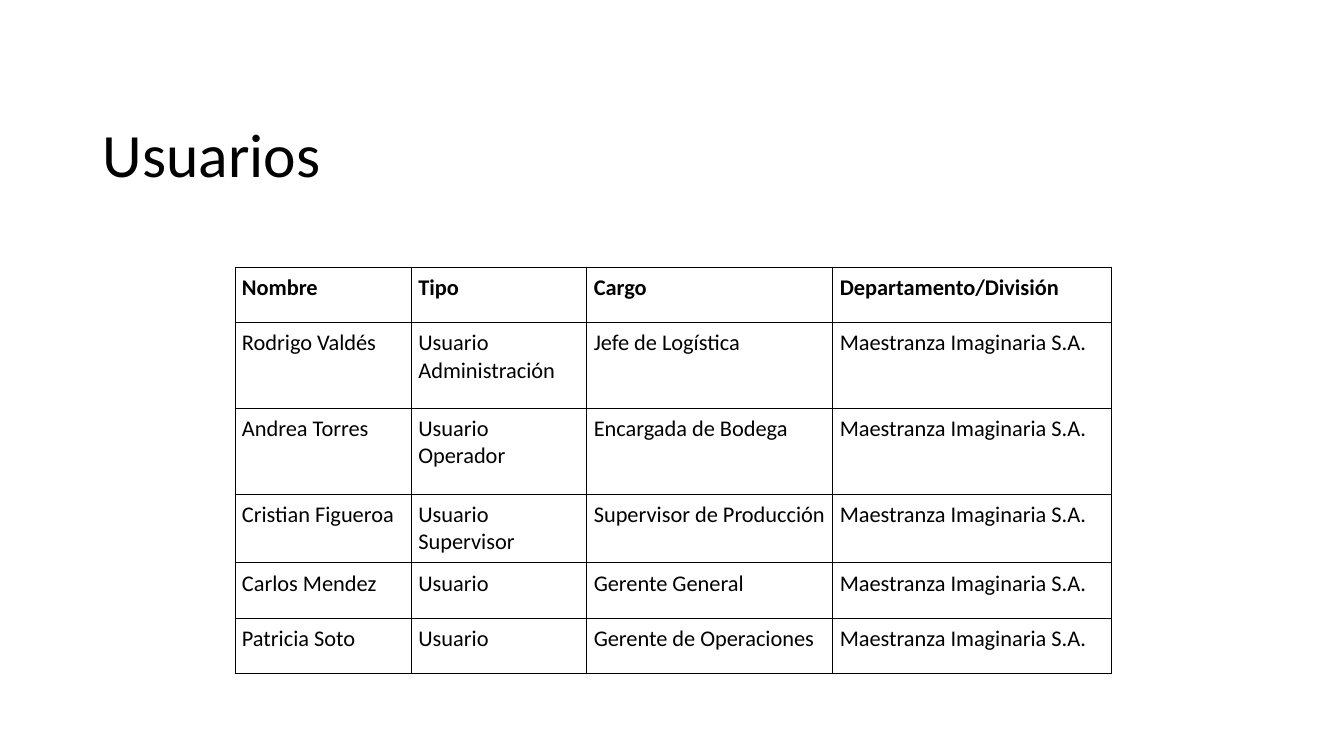
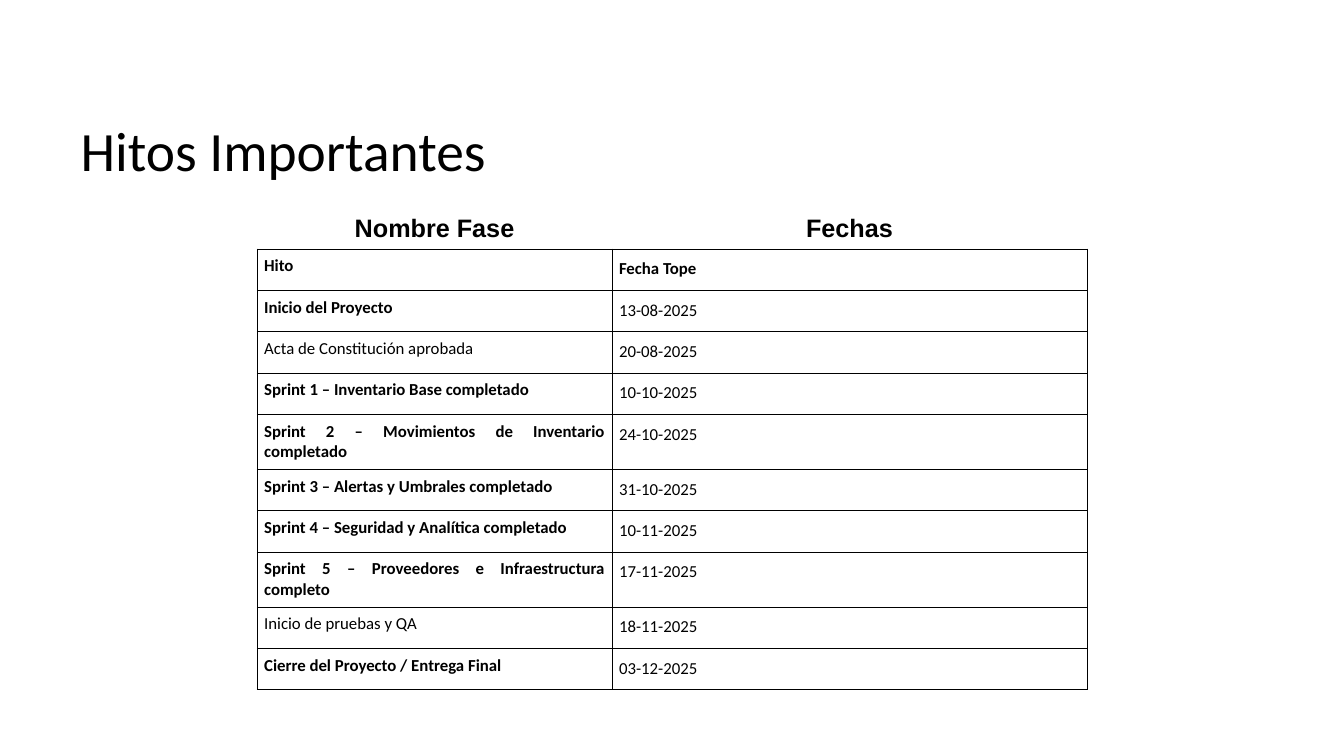
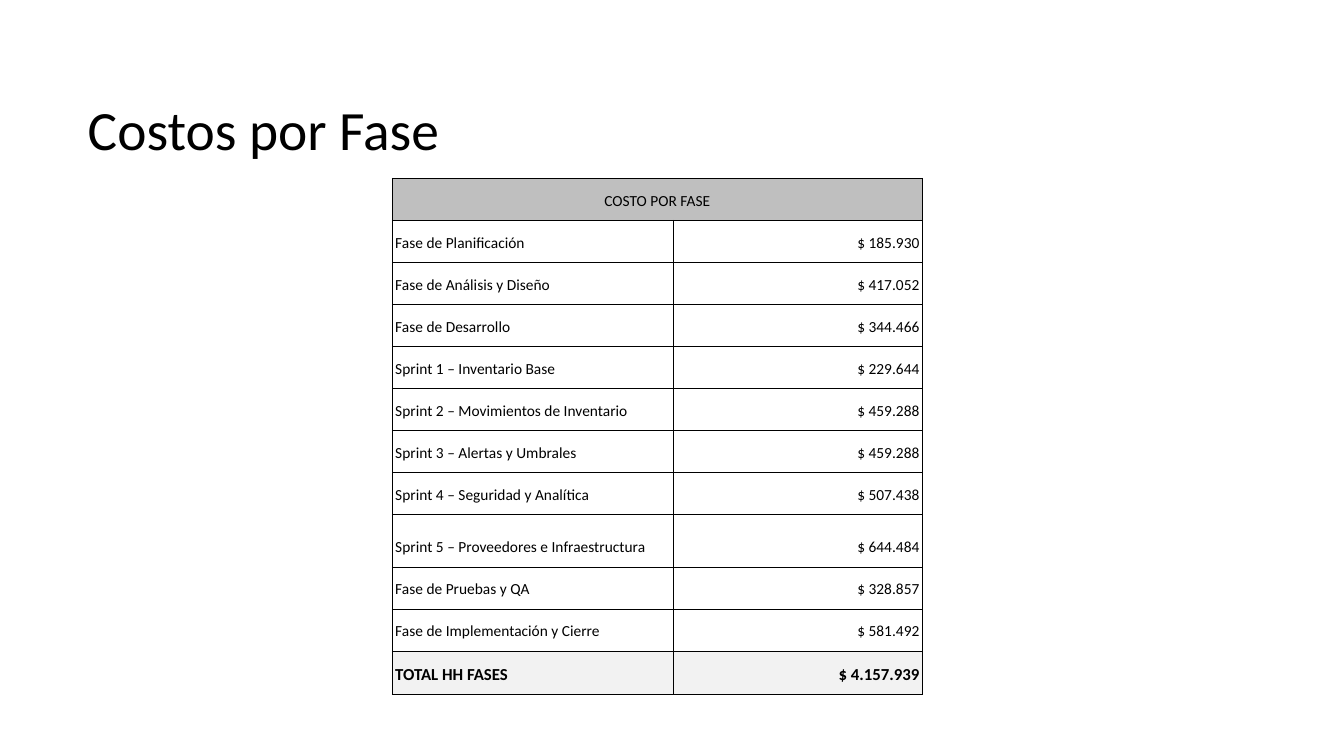
from dataclasses import dataclass, replace

from lxml import etree
from pptx import Presentation
from pptx.dml.color import RGBColor
from pptx.enum.text import MSO_ANCHOR, MSO_AUTO_SIZE, PP_ALIGN
from pptx.oxml.ns import qn
from pptx.util import Inches, Pt

LEFT, CENTER, RIGHT, JUSTIFY = PP_ALIGN.LEFT, PP_ALIGN.CENTER, PP_ALIGN.RIGHT, PP_ALIGN.JUSTIFY
TOP, MIDDLE, BOTTOM = MSO_ANCHOR.TOP, MSO_ANCHOR.MIDDLE, MSO_ANCHOR.BOTTOM
NO_AUTOFIT = MSO_AUTO_SIZE.NONE

BLACK, GRAY, PALE_GRAY = "000000", "BFBFBF", "F2F2F2"
BODY_FONT, HEADING_FONT = "Calibri", "Arial"
TITLE_ONLY_LAYOUT = 5
TITLE_WIDTH = 11.5
ALL_EDGES = "LRTB"
COMPANY = "Maestranza Imaginaria S.A."


@dataclass(frozen=True)
class CellStyle:
    size: float
    font: str = BODY_FONT
    bold: bool = False
    align: PP_ALIGN = JUSTIFY
    anchor: MSO_ANCHOR = TOP
    margin_x: float = 0.07
    margin_y: float = 0.07
    line_spacing: float = 1.0
    space_before: float = 0
    fill: str | None = None
    edges: str = ALL_EDGES
    line_width: float = 0.5


@dataclass(frozen=True)
class Cell:
    text: str
    style: CellStyle


@dataclass(frozen=True)
class TitleBox:
    text: str
    left: float
    top: float
    height: float
    size: float


@dataclass(frozen=True)
class TableBox:
    left: float
    top: float
    columns: list[float]
    heights: list[float]
    rows: list[list[Cell]]


def color(value: str) -> RGBColor:
    return RGBColor.from_string(value)


def format_font(para, font: str, size: float, bold: bool) -> None:
    for span in para.runs:
        span.font.name = font
        span.font.size = Pt(size)
        span.font.bold = bold
        span.font.color.rgb = color(BLACK)


def draw_title(page, title: TitleBox) -> None:
    box = page.shapes.title
    box.left, box.top = Inches(title.left), Inches(title.top)
    box.width, box.height = Inches(TITLE_WIDTH), Inches(title.height)
    frame = box.text_frame
    frame.text = title.text
    frame.auto_size = NO_AUTOFIT
    frame.vertical_anchor = MIDDLE
    para = frame.paragraphs[0]
    para.alignment = LEFT
    para.line_spacing = 0.9
    format_font(para, BODY_FONT, title.size, False)


def set_borders(cell, edges: str, width: float) -> None:
    """Draw the named edges (L, R, T, B) and hide the others."""
    properties = cell._tc.get_or_add_tcPr()
    for edge in ALL_EDGES:
        line = etree.SubElement(properties, qn(f"a:ln{edge}"), w=str(Pt(width)))
        if edge in edges:
            fill = etree.SubElement(line, qn("a:solidFill"))
            etree.SubElement(fill, qn("a:srgbClr"), val=BLACK)
        else:
            etree.SubElement(line, qn("a:noFill"))


def draw_cell(cell, content: Cell) -> None:
    style = content.style
    cell.margin_left = cell.margin_right = Inches(style.margin_x)
    cell.margin_top = cell.margin_bottom = Inches(style.margin_y)
    cell.vertical_anchor = style.anchor
    set_borders(cell, style.edges, style.line_width)
    if style.fill:
        cell.fill.solid()
        cell.fill.fore_color.rgb = color(style.fill)
    else:
        cell.fill.background()
    cell.text_frame.text = content.text
    para = cell.text_frame.paragraphs[0]
    para.alignment = style.align
    para.line_spacing = style.line_spacing
    para.space_before = Pt(style.space_before)
    format_font(para, style.font, style.size, style.bold)


def draw_table(page, box: TableBox):
    table = page.shapes.add_table(
        len(box.rows), len(box.columns), Inches(box.left), Inches(box.top),
        Inches(sum(box.columns)), Inches(sum(box.heights)),
    ).table
    table.first_row = table.horz_banding = False
    for column, width in zip(table.columns, box.columns):
        column.width = Inches(width)
    for row, height, contents in zip(table.rows, box.heights, box.rows):
        row.height = Inches(height)
        for cell, content in zip(row.cells, contents):
            draw_cell(cell, content)
    return table


def add_page(deck, title: TitleBox, box: TableBox):
    page = deck.slides.add_slide(deck.slide_layouts[TITLE_ONLY_LAYOUT])
    draw_title(page, title)
    return draw_table(page, box)


def add_users(deck) -> None:
    body = CellStyle(size=16)
    header = replace(body, bold=True)
    users = [
        ("Rodrigo Valdés", "Usuario Administración", "Jefe de Logística"),
        ("Andrea Torres", "Usuario Operador", "Encargada de Bodega"),
        ("Cristian Figueroa", "Usuario Supervisor", "Supervisor de Producción"),
        ("Carlos Mendez", "Usuario", "Gerente General"),
        ("Patricia Soto", "Usuario", "Gerente de Operaciones"),
    ]
    headings = ("Nombre", "Tipo", "Cargo", "Departamento/División")
    rows = [[Cell(text, header) for text in headings]]
    rows += [[Cell(text, body) for text in (*user, COMPANY)] for user in users]
    heights = [0.55, 0.85, 0.85, 0.55, 0.55, 0.55]
    add_page(deck, TitleBox("Usuarios", 0.92, 1.15, 0.82, 44),
             TableBox(2.33, 2.65, [1.75, 1.74, 2.44, 2.76], heights, rows))


def add_milestones(deck) -> None:
    heading = CellStyle(size=18, font=HEADING_FONT, bold=True, align=CENTER, anchor=MIDDLE,
                        margin_x=0.1, margin_y=0.05, edges="B")
    name = CellStyle(size=12, space_before=2)
    key_name = replace(name, bold=True)
    date = replace(name, line_spacing=1.15)
    key_date = replace(date, bold=True)
    milestones = [
        ("Inicio del Proyecto", "13-08-2025", key_name),
        ("Acta de Constitución aprobada", "20-08-2025", name),
        ("Sprint 1 – Inventario Base completado", "10-10-2025", key_name),
        ("Sprint 2 – Movimientos de Inventario completado", "24-10-2025", key_name),
        ("Sprint 3 – Alertas y Umbrales completado", "31-10-2025", key_name),
        ("Sprint 4 – Seguridad y Analítica completado", "10-11-2025", key_name),
        ("Sprint 5 – Proveedores e Infraestructura completo", "17-11-2025", key_name),
        ("Inicio de pruebas y QA", "18-11-2025", name),
        ("Cierre del Proyecto / Entrega Final", "03-12-2025", key_name),
    ]
    rows = [
        [Cell("Nombre Fase", heading), Cell("Fechas", heading)],
        [Cell("Hito", key_name), Cell("Fecha Tope", key_date)],
    ]
    rows += [[Cell(text, style), Cell(day, date)] for text, day, style in milestones]
    add_page(deck, TitleBox("Hitos Importantes", 0.7, 1.17, 0.7, 39.6),
             TableBox(2.55, 2.06, [3.52, 4.71], [0.41] * len(rows), rows))


def add_costs(deck) -> None:
    phase = CellStyle(size=11, align=LEFT, anchor=BOTTOM, margin_x=0.03, margin_y=0.1,
                      line_spacing=1.15, line_width=0.83)
    amount = replace(phase, align=RIGHT)
    banner = replace(phase, align=CENTER, fill=GRAY)
    total = replace(phase, size=12, bold=True, fill=PALE_GRAY)
    costs = [
        ("Fase de Planificación", "$ 185.930"),
        ("Fase de Análisis y Diseño", "$ 417.052"),
        ("Fase de Desarrollo", "$ 344.466"),
        ("Sprint 1 – Inventario Base", "$ 229.644"),
        ("Sprint 2 – Movimientos de Inventario", "$ 459.288"),
        ("Sprint 3 – Alertas y Umbrales", "$ 459.288"),
        ("Sprint 4 – Seguridad y Analítica", "$ 507.438"),
        ("Sprint 5 – Proveedores e Infraestructura", "$ 644.484"),
        ("Fase de Pruebas y QA", "$ 328.857"),
        ("Fase de Implementación y Cierre", "$ 581.492"),
    ]
    rows = [[Cell("COSTO POR FASE", banner), Cell("", banner)]]
    rows += [[Cell(text, phase), Cell(cost, amount)] for text, cost in costs]
    rows.append([Cell("TOTAL HH FASES", total),
                 Cell("$ 4.157.939", replace(total, align=RIGHT))])
    heights = [0.35] * 8 + [0.52, 0.35, 0.35, 0.36]
    table = add_page(deck, TitleBox("Costos por Fase", 0.77, 0.99, 0.64, 39.6),
                     TableBox(3.89, 1.77, [2.79, 2.47], heights, rows))
    table.cell(0, 0).merge(table.cell(0, 1))


def main() -> None:
    deck = Presentation()
    deck.slide_width, deck.slide_height = Inches(13.33), Inches(7.5)
    add_users(deck)
    add_milestones(deck)
    add_costs(deck)
    deck.save("out.pptx")


if __name__ == "__main__":
    main()
